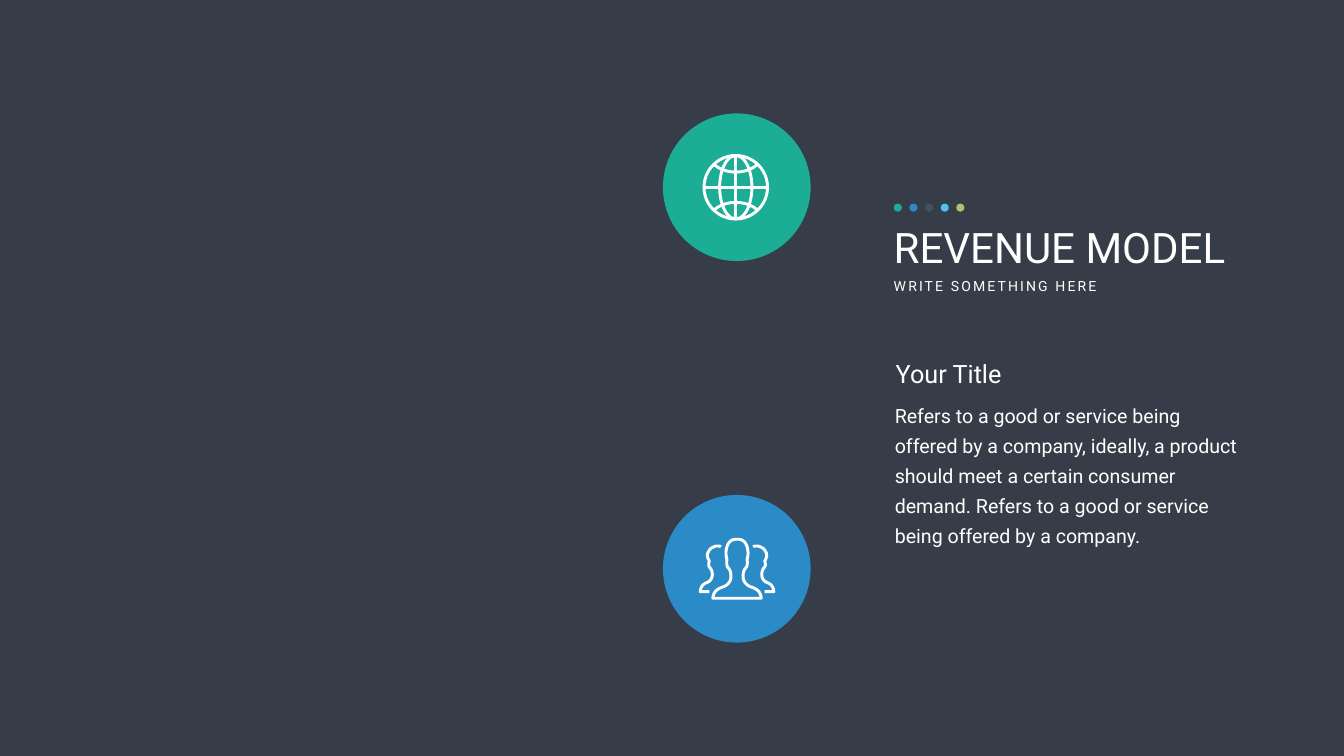
from dataclasses import dataclass

from lxml.etree import SubElement
from pptx import Presentation
from pptx.dml.color import RGBColor
from pptx.enum.shapes import MSO_CONNECTOR as CONNECTOR, MSO_SHAPE as SHAPE
from pptx.enum.text import MSO_AUTO_SIZE as AUTO_SIZE
from pptx.oxml.ns import qn
from pptx.slide import Slide
from pptx.util import Inches, Pt

GREEN, BLUE, SLATE, SKY, LIME = "1CAD97", "2B8BC7", "425060", "4EC2F4", "AAC46F"
AXIS = 14.62
GLOBE_X, GLOBE_Y, GLOBE_RADIUS = 14.595, 3.715, 0.63
MIDDLE_PERSON = [
    (0, 10.7),
    (0.1, 10.69), (0.17, 10.75), (0.2, 10.85),
    (0.23, 10.95), (0.22, 11.03), (0.2, 11.1),
    (0.21, 11.18), (0.2, 11.22), (0.19, 11.25),
    (0.16, 11.28), (0.12, 11.32), (0.12, 11.44),
    (0.12, 11.55), (0.2, 11.61), (0.26, 11.64),
    (0.36, 11.67), (0.47, 11.72), (0.48, 11.87),
]
SIDE_PERSON = [
    (0.32, 10.85),
    (0.34, 10.83), (0.42, 10.82), (0.48, 10.86),
    (0.53, 10.88), (0.55, 10.91), (0.58, 10.97),
    (0.6, 11.03), (0.58, 11.08), (0.55, 11.13),
    (0.57, 11.2), (0.56, 11.23), (0.55, 11.25),
    (0.52, 11.28), (0.49, 11.32), (0.49, 11.41),
    (0.5, 11.5), (0.55, 11.54), (0.6, 11.56),
    (0.68, 11.59), (0.72, 11.64), (0.73, 11.74),
]


def color(value):
    return RGBColor.from_string(value)


def curve(controls, steps=10):
    points = [controls[0]]
    for first in range(0, len(controls) - 1, 3):
        a, b, c, d = controls[first:first + 4]
        for step in range(1, steps + 1):
            t = step / steps
            weights = ((1 - t) ** 3, 3 * t * (1 - t) ** 2, 3 * t * t * (1 - t), t ** 3)
            points.append(tuple(
                sum(w * p[axis] for w, p in zip(weights, (a, b, c, d))) for axis in (0, 1)
            ))
    return points


def place(points, side=1):
    return [(AXIS + side * x, y) for x, y in points]


@dataclass
class Painter:
    """Draws styled elements on the current slide."""

    slide: Slide
    font: str = "Roboto"
    ink: str = "FFFFFF"
    stroke: float = 4.2

    def background(self, fill):
        self.slide.background.fill.solid()
        self.slide.background.fill.fore_color.rgb = color(fill)

    def pen(self, line):
        line.color.rgb = color(self.ink)
        line.width = Pt(self.stroke)

    def disc(self, left, top, size, fill):
        disc = self.slide.shapes.add_shape(SHAPE.OVAL, *map(Inches, (left, top, size, size)))
        disc.shadow.inherit = False
        disc.fill.solid()
        disc.fill.fore_color.rgb = color(fill)
        disc.line.fill.background()

    def ring(self, x, y, half_width, half_height):
        box = (x - half_width, y - half_height, 2 * half_width, 2 * half_height)
        ring = self.slide.shapes.add_shape(SHAPE.OVAL, *map(Inches, box))
        ring.shadow.inherit = False
        ring.fill.background()
        self.pen(ring.line)

    def line(self, *ends):
        line = self.slide.shapes.add_connector(CONNECTOR.STRAIGHT, *map(Inches, ends))
        self.pen(line.line)
        SubElement(line._element.spPr, qn("a:effectLst"))

    def outline(self, points, close=False):
        start, *rest = [(Inches(x), Inches(y)) for x, y in points]
        builder = self.slide.shapes.build_freeform(*start)
        builder.add_line_segments(rest, close=close)
        outline = builder.convert_to_shape()
        outline.shadow.inherit = False
        outline.fill.background()
        self.pen(outline.line)

    def text(self, words, box, size, wrap=True, spacing=None, leading=None, insets=(0.1, 0.05)):
        frame = self.slide.shapes.add_textbox(*map(Inches, box)).text_frame
        frame.word_wrap = wrap
        frame.auto_size = AUTO_SIZE.SHAPE_TO_FIT_TEXT
        frame.margin_left = frame.margin_right = Inches(insets[0])
        frame.margin_top = frame.margin_bottom = Inches(insets[1])
        frame.text = words
        paragraph = frame.paragraphs[0]
        if leading:
            paragraph.line_spacing = Pt(leading)
        run = paragraph.runs[0]
        run.font.name = self.font
        run.font.size = Pt(size)
        run.font.color.rgb = color(self.ink)
        if spacing:
            run._r.get_or_add_rPr().set("spc", str(spacing * 100))


def draw_globe(painter):
    x, y, radius = GLOBE_X, GLOBE_Y, GLOBE_RADIUS
    painter.ring(x, y, radius, radius)
    painter.ring(x, y, 0.32, radius)
    painter.line(x - radius, y, x + radius, y)
    painter.line(x, y - radius, x, y + radius)
    for side in (-1, 1):
        latitude = [(-0.43, 0.45), (-0.2, 0.25), (0.2, 0.25), (0.43, 0.45)]
        painter.outline(curve([(x + dx, y + side * dy) for dx, dy in latitude]))


def draw_people(painter):
    half = curve(MIDDLE_PERSON)
    painter.outline(place(half) + place(half[:0:-1], -1), close=True)
    for side in (-1, 1):
        painter.outline(place(curve(SIDE_PERSON) + [(0.55, 11.74)], side))


def main():
    deck = Presentation()
    deck.slide_width, deck.slide_height = Inches(26.66), Inches(15)
    painter = Painter(deck.slides.add_slide(deck.slide_layouts[6]))
    painter.background("363D48")
    painter.disc(13.15, 9.82, 2.93, BLUE)
    painter.disc(13.15, 2.25, 2.93, GREEN)
    painter.text(
        "Refers to a good or service being offered by a company, ideally, a product "
        "should meet a certain consumer demand. Refers to a good or service being "
        "offered by a company.",
        (17.51, 7.76, 7.27, 3.2), 28, leading=43, insets=(0.24, 0.12),
    )
    painter.text("Your Title", (17.67, 7.05, 6.53, 0.71), 36)
    painter.text("REVENUE MODEL", (17.63, 4.35, 7.27, 1.11), 60)
    painter.text("WRITE SOMETHING HERE", (17.63, 5.46, 4.35, 0.44), 20, wrap=False, spacing=3)
    for index, fill in enumerate((GREEN, BLUE, SLATE, SKY, LIME)):
        painter.disc(17.73 + 0.31 * index, 4.04, 0.16, fill)
    draw_people(painter)
    draw_globe(painter)
    deck.save("out.pptx")


if __name__ == "__main__":
    main()
